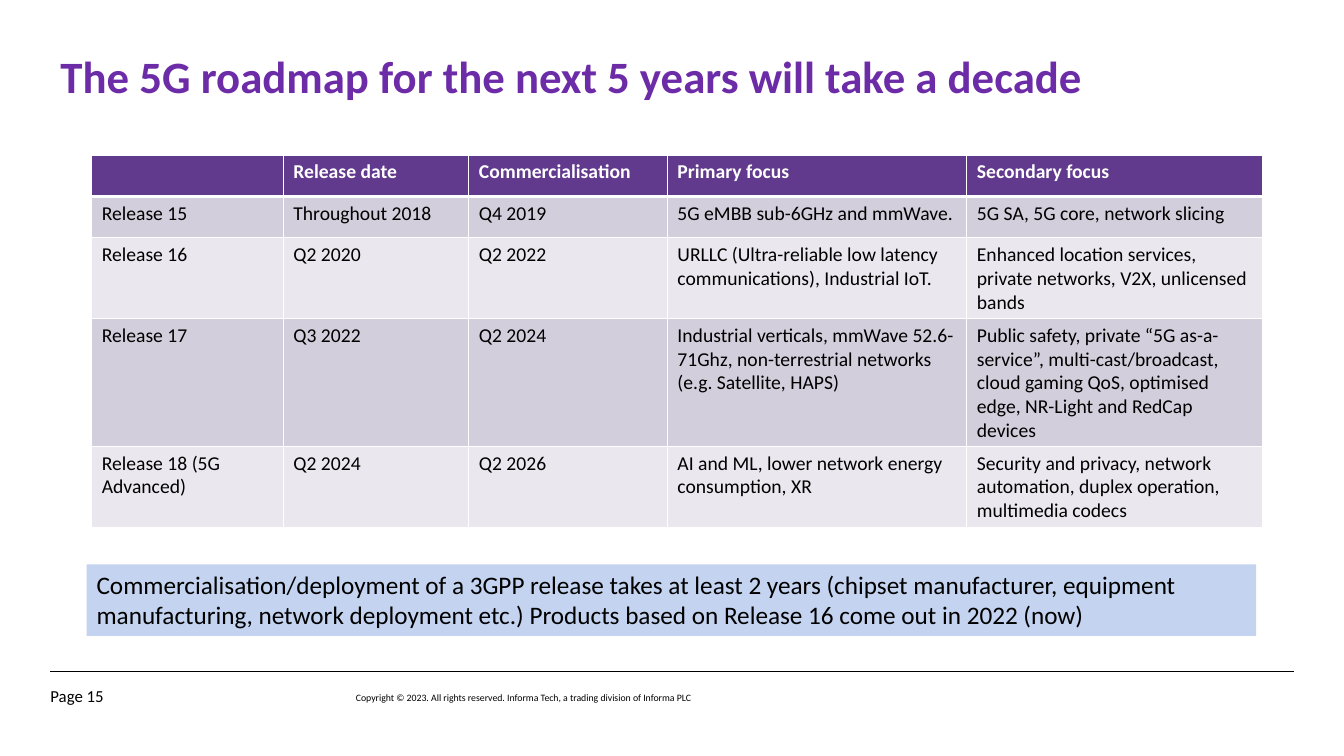
import pptx
import pptx.util
import pptx.dml.color
import pptx.enum.shapes
import pptx.enum.text
import lxml.etree

Inches = pptx.util.Inches
ANCHOR = pptx.enum.text.MSO_ANCHOR
WIDTHS = [1.9, 1.84, 1.97, 2.97, 2.93]
ROWS = [
    ["", "Release date", "Commercialisation", "Primary focus", "Secondary focus"],
    ["Release 15", "Throughout 2018", "Q4 2019", "5G eMBB sub-6GHz and mmWave.",
     "5G SA, 5G core, network slicing"],
    ["Release 16", "Q2 2020", "Q2 2022",
     "URLLC (Ultra-reliable low latency communications), Industrial IoT.",
     "Enhanced location services, private networks, V2X, unlicensed bands"],
    ["Release 17", "Q3 2022", "Q2 2024",
     "Industrial verticals, mmWave 52.6-71Ghz, non-terrestrial networks (e.g. Satellite, HAPS)",
     "Public safety, private “5G as-a-service”, multi-cast/broadcast, cloud gaming QoS, "
     "optimised edge, NR-Light and RedCap devices"],
    ["Release 18 (5G Advanced)", "Q2 2024", "Q2 2026",
     "AI and ML, lower network energy consumption, XR",
     "Security and privacy, network automation, duplex operation, multimedia codecs"],
]


def color(code):
    """Return the colour for a hex string."""
    return pptx.dml.color.RGBColor.from_string(code)


def paint(shape, code):
    """Fill a shape or cell with one colour."""
    shape.fill.solid()
    shape.fill.fore_color.rgb = color(code)


def write(frame, text, size, code="000000", bold=False, space=None):
    """Write one left-aligned paragraph into a text frame."""
    frame.word_wrap = True
    para = frame.paragraphs[0]
    para.text = text
    para.alignment = pptx.enum.text.PP_ALIGN.LEFT
    para.line_spacing = space
    font = para.font
    font.name, font.size, font.bold = "Calibri", pptx.util.Pt(size), bold
    font.color.rgb = color(code)


def place(shape, left, top, width, height):
    """Set the position and size of a shape."""
    shape.left, shape.top = Inches(left), Inches(top)
    shape.width, shape.height = Inches(width), Inches(height)


def add_title(slide, text):
    """Fill and format the title placeholder."""
    title = slide.shapes.title
    place(title, 0.5, 0.5, 12.33, 0.59)
    write(title.text_frame, text, 32, "6D2CA7", True, 0.85)
    title.text_frame.auto_size = pptx.enum.text.MSO_AUTO_SIZE.NONE
    title.text_frame.vertical_anchor = ANCHOR.MIDDLE


def add_label(slide, text, size, *box):
    """Add a footer label without margins."""
    frame = slide.shapes.add_textbox(*map(Inches, box)).text_frame
    frame.margin_left = frame.margin_right = frame.margin_top = frame.margin_bottom = 0
    frame.vertical_anchor = ANCHOR.BOTTOM
    write(frame, text, size, space=0.85)


def add_rule(slide, left, right, top):
    """Add a thin black horizontal line."""
    rule = slide.shapes.add_connector(
        pptx.enum.shapes.MSO_CONNECTOR.STRAIGHT,
        Inches(left), Inches(top), Inches(right), Inches(top))
    rule.line.color.rgb = color("000000")
    rule.line.width = pptx.util.Pt(1)
    space = pptx.oxml.ns.qn("a:effectLst")
    lxml.etree.SubElement(rule._element.spPr, space)


def edge(cell, base):
    """Draw white borders round a cell, with the given bottom width."""
    qn = pptx.oxml.ns.qn
    props = cell._tc.get_or_add_tcPr()
    for index, (side, width) in enumerate(zip("LRTB", (1, 1, 1, base))):
        line = lxml.etree.Element(qn("a:ln" + side), w=str(pptx.util.Pt(width)))
        fill = lxml.etree.SubElement(line, qn("a:solidFill"))
        lxml.etree.SubElement(fill, qn("a:srgbClr"), val="FFFFFF")
        props.insert(index, line)


def add_grid(slide, rows, widths, left, top, step):
    """Add the table of releases with banded rows."""
    table = slide.shapes.add_table(
        len(rows), len(widths), Inches(left), Inches(top),
        Inches(sum(widths)), Inches(step * len(rows))).table
    for col, width in zip(table.columns, widths):
        col.width = Inches(width)
    for y, row in enumerate(rows):
        table.rows[y].height = Inches(step)
        head = y == 0
        fill = "613A8D" if head else ("EAE8EE", "D2CEDB")[y % 2]
        for x, text in enumerate(row):
            cell = table.cell(y, x)
            paint(cell, fill)
            edge(cell, 3 if head else 1)
            write(cell.text_frame, text, 14, "FFFFFF" if head else "000000", head)


def add_note(slide, text, *box):
    """Add the pale blue box with the closing remark."""
    note = slide.shapes.add_shape(
        pptx.enum.shapes.MSO_SHAPE.RECTANGLE, *map(Inches, box))
    note.shadow.inherit = False
    note.line.fill.background()
    paint(note, "C3D3F0")
    note.text_frame.vertical_anchor = ANCHOR.TOP
    write(note.text_frame, text, 18)


def main():
    """Build the slide and save it."""
    deck = pptx.Presentation()
    deck.slide_width, deck.slide_height = Inches(13.33), Inches(7.5)
    slide = deck.slides.add_slide(deck.slide_layouts[5])
    add_rule(slide, 0.5, 12.83, 6.66)
    add_label(slide, "Copyright © 2023. All rights reserved. Informa Tech, "
              "a trading division of Informa PLC", 7, 3.53, 6.72, 4.93, 0.26)
    add_label(slide, "Page 15", 12, 0.5, 6.66, 0.99, 0.34)
    add_title(slide, "The 5G roadmap for the next 5 years will take a decade")
    add_grid(slide, ROWS, WIDTHS, 0.91, 1.54, 0.41)
    add_note(slide, "Commercialisation/deployment of a 3GPP release takes at least 2 years "
             "(chipset manufacturer, equipment manufacturing, network deployment etc.) "
             "Products based on Release 16 come out in 2022 (now)", 0.86, 5.6, 11.6, 0.71)
    deck.save("out.pptx")


if __name__ == "__main__":
    main()
